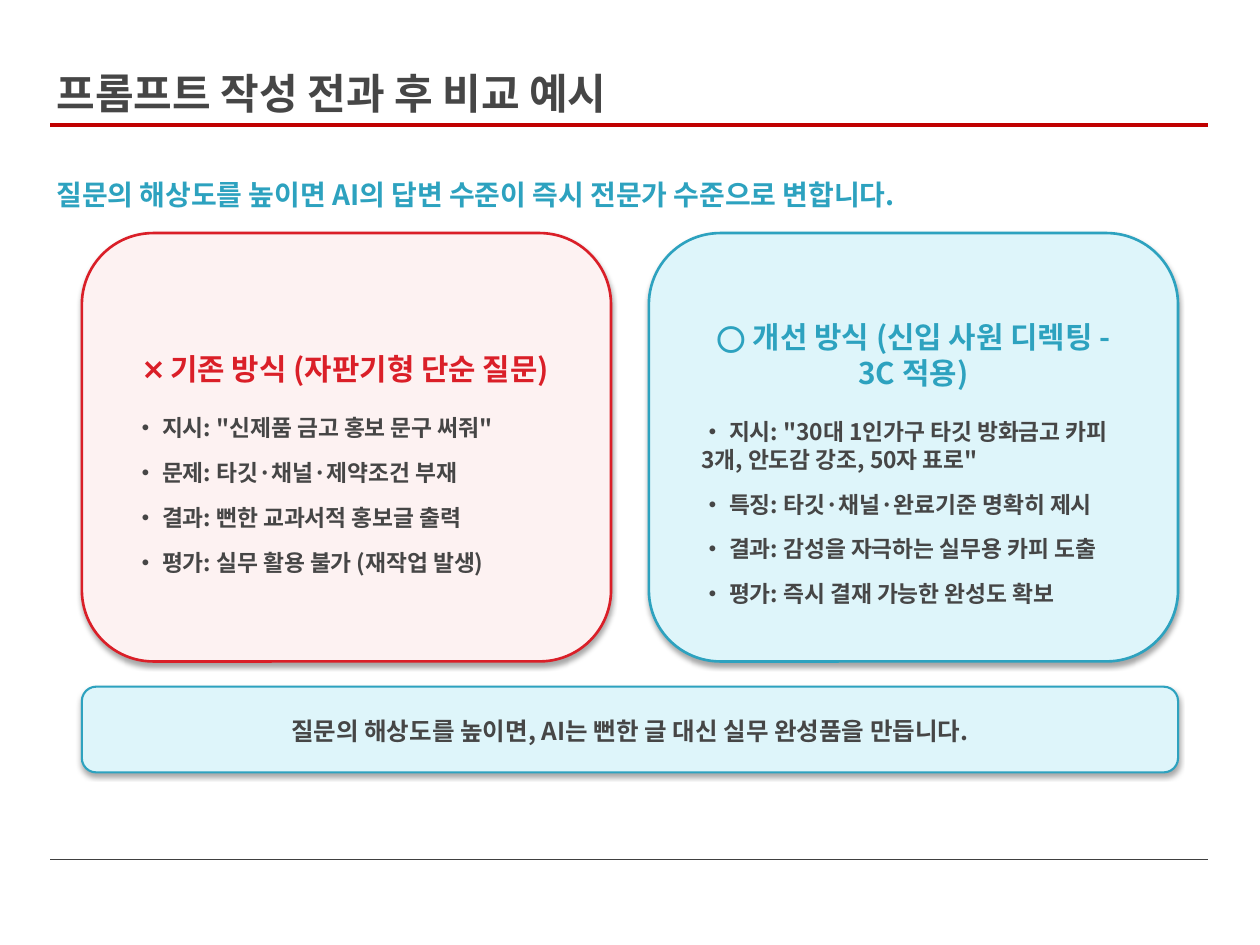
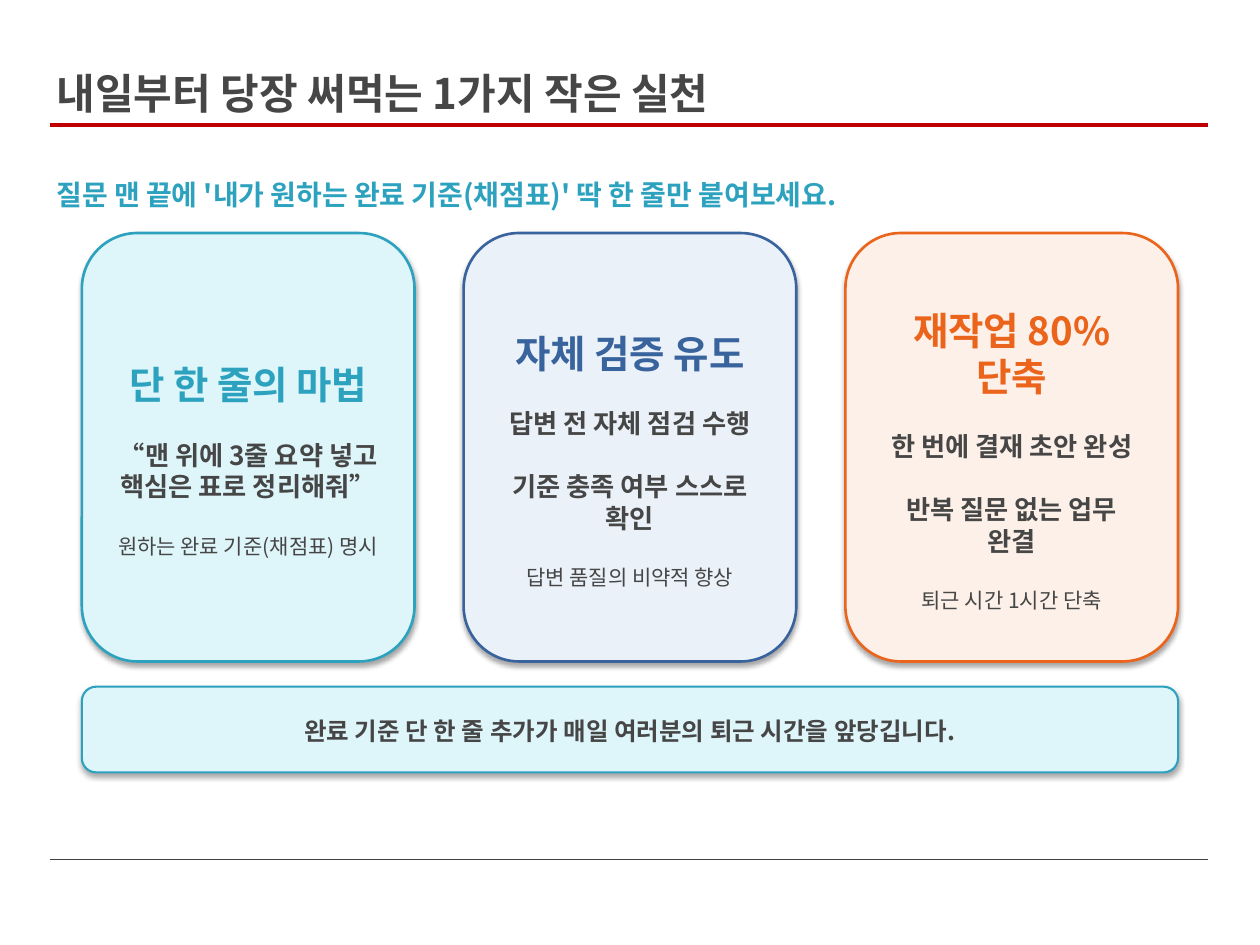
"""Build two slides on prompt writing: a before/after comparison and one small practice."""
from lxml import etree
from pptx import Presentation
from pptx.dml.color import RGBColor
from pptx.enum.shapes import MSO_CONNECTOR, MSO_SHAPE
from pptx.enum.text import MSO_ANCHOR, PP_ALIGN
from pptx.oxml import parse_xml
from pptx.oxml.ns import nsdecls, qn
from pptx.util import Inches, Pt

FONT = "Noto Sans CJK KR"
DARK = RGBColor(0x46, 0x46, 0x46)
RULE = RGBColor(0xC0, 0x00, 0x00)
FOOT = RGBColor(0x40, 0x40, 0x40)
RED = RGBColor(0xDA, 0x1F, 0x28)
TEAL = RGBColor(0x2D, 0xA2, 0xBF)
BLUE = RGBColor(0x39, 0x63, 0x9D)
ORANGE = RGBColor(0xEB, 0x64, 0x1B)
PALE_RED = RGBColor(0xFD, 0xF2, 0xF2)
PALE_TEAL = RGBColor(0xDE, 0xF5, 0xFA)
PALE_BLUE = RGBColor(0xEB, 0xF1, 0xF8)
PALE_ORANGE = RGBColor(0xFD, 0xF0, 0xE8)
SHADOW = (
    f'<a:effectLst {nsdecls("a")}><a:outerShdw blurRad="{Pt(3.1)}" dist="{Pt(1.8)}" '
    'dir="5400000" rotWithShape="0"><a:srgbClr val="000000"><a:alpha val="35000"/>'
    '</a:srgbClr></a:outerShdw></a:effectLst>'
)
LEFT, WIDTH = 0.65, 8.7
CENTER, START = PP_ALIGN.CENTER, PP_ALIGN.LEFT


def write(tf, rows):
    """Fill a frame with (text, size, colour, bold, alignment, space after) rows."""
    tf.word_wrap = True
    for i, (text, size, color, bold, align, after) in enumerate(rows):
        p = tf.paragraphs[0] if i == 0 else tf.add_paragraph()
        p.text = text
        p.alignment = align
        p.space_after = Pt(after)
        r = p.runs[0]
        r.font.name = FONT
        r.font.size = Pt(size)
        r.font.bold = bold
        r.font.color.rgb = color
        etree.SubElement(r.font._element, qn("a:ea")).set("typeface", FONT)


def add_box(s, x, y, w, h, fill, line, weight, insets, rows):
    """Add a rounded, softly shadowed box with centred-in-height text."""
    sp = s.shapes.add_shape(MSO_SHAPE.ROUNDED_RECTANGLE, Inches(x), Inches(y), Inches(w), Inches(h))
    sp.fill.solid()
    sp.fill.fore_color.rgb = fill
    sp.line.color.rgb = line
    sp.line.width = Pt(weight)
    sp._element.spPr.append(parse_xml(SHADOW))
    tf = sp.text_frame
    tf.vertical_anchor = MSO_ANCHOR.MIDDLE
    tf.margin_left, tf.margin_top, tf.margin_right, tf.margin_bottom = map(Inches, insets)
    write(tf, rows)


compare_cards = [
    ("❌ 기존 방식 (자판기형 단순 질문)", RED, PALE_RED, [
        "• 지시: \"신제품 금고 홍보 문구 써줘\"",
        "• 문제: 타깃·채널·제약조건 부재",
        "• 결과: 뻔한 교과서적 홍보글 출력",
        "• 평가: 실무 활용 불가 (재작업 발생)"]),
    ("⭕ 개선 방식 (신입 사원 디렉팅 - 3C 적용)", TEAL, PALE_TEAL, [
        "• 지시: \"30대 1인가구 타깃 방화금고 카피 3개, 안도감 강조, 50자 표로\"",
        "• 특징: 타깃·채널·완료기준 명확히 제시",
        "• 결과: 감성을 자극하는 실무용 카피 도출",
        "• 평가: 즉시 결재 가능한 완성도 확보"]),
]
practice_cards = [
    ("단 한 줄의 마법", TEAL, PALE_TEAL, 0,
     ["“맨 위에 3줄 요약 넣고", "핵심은 표로 정리해줘”", "원하는 완료 기준(채점표) 명시"]),
    ("자체 검증 유도", BLUE, PALE_BLUE, 18,
     ["답변 전 자체 점검 수행", "기준 충족 여부 스스로 확인", "답변 품질의 비약적 향상"]),
    ("재작업 80% 단축", ORANGE, PALE_ORANGE, 18,
     ["한 번에 결재 초안 완성", "반복 질문 없는 업무 완결", "퇴근 시간 1시간 단축"]),
]

compare = []
for head, color, fill, points in compare_cards:
    rows = [(head, 17, color, True, CENTER, 16)]
    rows += [(point, 13, DARK, True, START, 10) for point in points]
    compare.append((color, fill, rows))

practice = []
for head, color, fill, gap, (first, second, effect) in practice_cards:
    practice.append((color, fill, [
        (head, 22, color, True, CENTER, 18),
        (first, 15, DARK, True, CENTER, gap),
        (second, 15, DARK, True, CENTER, 18),
        (effect, 12, DARK, False, CENTER, 0)]))

slides = [
    ("프롬프트 작성 전과 후 비교 예시",
     "질문의 해상도를 높이면 AI의 답변 수준이 즉시 전문가 수준으로 변합니다.",
     compare, 4.2, (0.25, 0.3, 0.25, 0.05),
     "질문의 해상도를 높이면, AI는 뻔한 글 대신 실무 완성품을 만듭니다."),
    ("내일부터 당장 써먹는 1가지 작은 실천",
     "질문 맨 끝에 '내가 원하는 완료 기준(채점표)' 딱 한 줄만 붙여보세요.",
     practice, 2.64, (0.15, 0.4, 0.15, 0.2),
     "완료 기준 단 한 줄 추가가 매일 여러분의 퇴근 시간을 앞당깁니다."),
]

prs = Presentation()
prs.slide_width, prs.slide_height = Inches(10), Inches(7.5)

for title, lead, cards, card_w, insets, summary in slides:
    s = prs.slides.add_slide(prs.slide_layouts[6])

    for y, color, weight in [(0.99, RULE, 2.25), (6.82, FOOT, 0.75)]:
        cn = s.shapes.add_connector(MSO_CONNECTOR.STRAIGHT, Inches(0.4), Inches(y), Inches(9.59), Inches(y))
        cn.line.color.rgb = color
        cn.line.width = Pt(weight)
        etree.SubElement(cn._element.spPr, qn("a:effectLst"))

    for text, y, h, size, color in [(title, 0.29, 0.71, 24, DARK), (lead, 1.23, 0.55, 16, TEAL)]:
        tb = s.shapes.add_textbox(Inches(0.35), Inches(y), Inches(9.14), Inches(h))
        write(tb.text_frame, [(text, size, color, True, START, 0)])
        tb.text_frame.paragraphs[0].line_spacing = 1.5

    step = (WIDTH - card_w) / (len(cards) - 1)
    for i, (color, fill, rows) in enumerate(cards):
        add_box(s, LEFT + i * step, 1.85, card_w, 3.4, fill, color, 1.5, insets, rows)

    add_box(s, LEFT, 5.45, WIDTH, 0.68, PALE_TEAL, TEAL, 1.2, (0.2, 0.12, 0.2, 0.1),
            [(summary, 14, DARK, True, CENTER, 0)])

prs.save("out.pptx")
